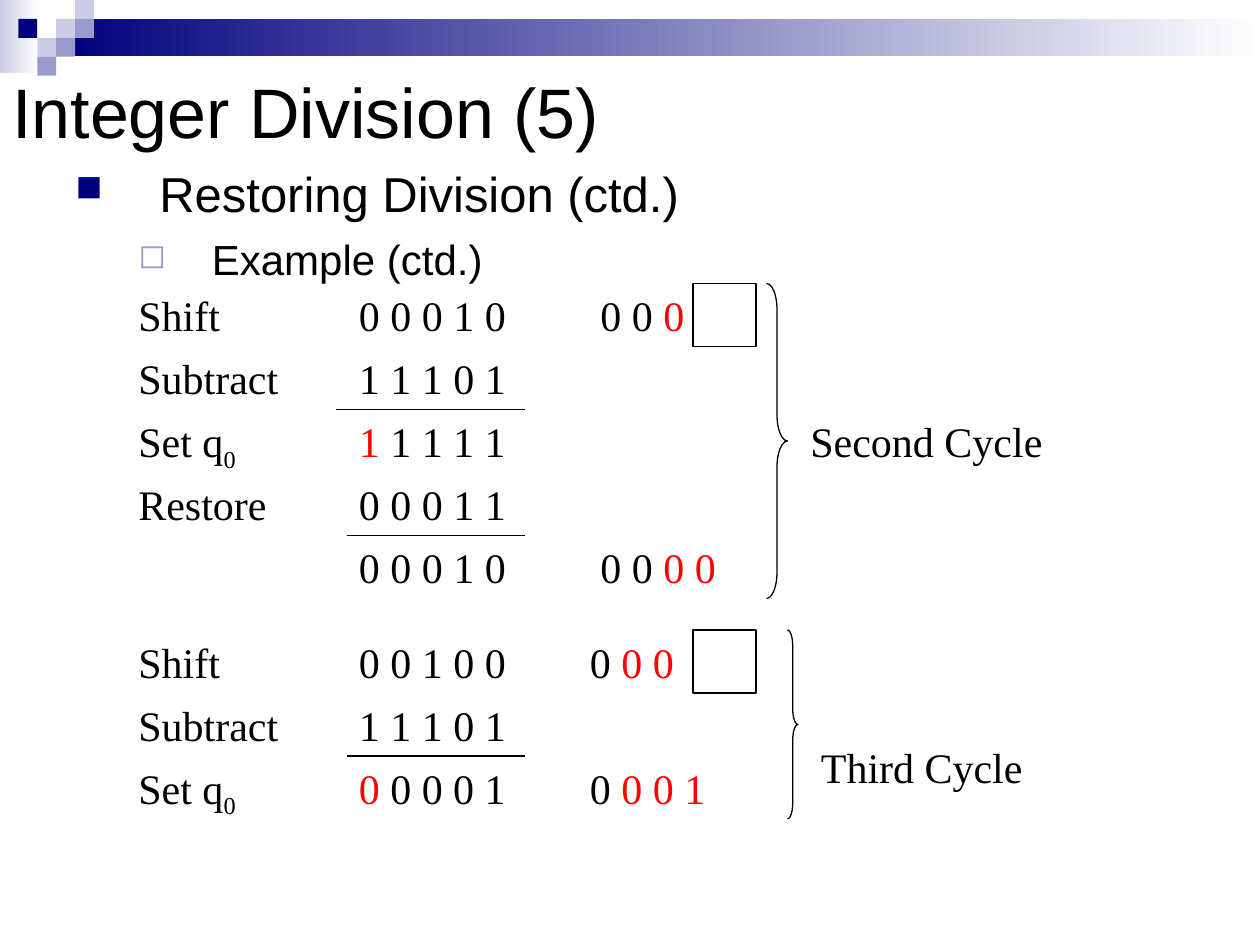
from lxml import etree
from pptx import Presentation
from pptx.dml.color import RGBColor
from pptx.enum import shapes, text
from pptx.oxml.ns import qn
from pptx.util import Pt

BLACK = RGBColor(0, 0, 0)
WHITE = RGBColor(255, 255, 255)
RED = RGBColor(255, 0, 0)
NAVY = RGBColor(0, 0, 0x7D)
LILAC = RGBColor(0x99, 0x99, 0xCC)
PALE = RGBColor(0xCC, 0xCC, 0xE6)

ROW = 36
SUBTRACTION_END = 228


def add_outline(slide, preset, left, top, width, height):
    shape = slide.shapes.add_shape(preset, Pt(left), Pt(top), Pt(width), Pt(height))
    shape.shadow.inherit = False
    shape.fill.background()
    shape.line.color.rgb = BLACK
    shape.line.width = Pt(0.75)
    return shape


def add_block(slide, left, top, width, height, *colours):
    """A borderless rectangle, solid or with a left-to-right gradient."""
    block = add_outline(slide, shapes.MSO_SHAPE.RECTANGLE, left, top, width, height)
    block.line.fill.background()
    if len(colours) == 1:
        block.fill.solid()
        block.fill.fore_color.rgb = colours[0]
    else:
        block.fill.gradient()
        block.fill.gradient_angle = 0
        for stop, colour in zip(block.fill.gradient_stops, colours):
            stop.color.rgb = colour


def add_frame(slide, left, top, width, height):
    frame = slide.shapes.add_textbox(Pt(left), Pt(top), Pt(width), Pt(height)).text_frame
    frame.word_wrap = True
    return frame


def format_font(font, name, size, colour=BLACK):
    font.name = name
    font.size = Pt(size)
    font.color.rgb = colour


def add_cell(slide, left, top, width, *runs):
    """One line of the working, made of (wording, colour) runs."""
    paragraph = add_frame(slide, left, top, width, ROW).paragraphs[0]
    for wording, colour in runs:
        run = paragraph.add_run()
        run.text = wording
        format_font(run.font, "Times New Roman", 24, colour)
    return paragraph


def add_rule(slide, left, right, y):
    rule = slide.shapes.add_connector(
        shapes.MSO_CONNECTOR.STRAIGHT, Pt(left), Pt(y), Pt(right), Pt(y))
    rule.line.color.rgb = BLACK
    rule.line.width = Pt(0.75)
    etree.SubElement(rule._element.spPr, qn("a:effectLst"))


def add_banner(slide, left, top, width):
    # Gradient strips
    add_block(slide, left, top, 22.5, 42, PALE, WHITE)
    add_block(slide, left + 32.5, top + 10.8, width - 32.5, 21.4, NAVY, WHITE)
    # Mosaic squares on a grid of column and row
    step = 10.8
    mosaic = [(2, 1, PALE), (3, 0, PALE), (3, 1, LILAC), (1, 2, PALE),
              (0, 1, NAVY), (2, 2, LILAC), (1, 3, LILAC)]
    for column, row, colour in mosaic:
        add_block(slide, left + 10.5 + column * step, top + row * step, step, step, colour)


def add_title(slide, left, top, width, height):
    frame = add_frame(slide, left, top, width, height)
    frame.vertical_anchor = text.MSO_ANCHOR.MIDDLE
    frame.text = "Integer Division (5)"
    format_font(frame.paragraphs[0].runs[0].font, "Arial", 40)


def add_bullets(slide, left, top, width, height):
    frame = add_frame(slide, left, top, width, height)
    frame.text = "Restoring Division (ctd.)\nExample (ctd.)"
    styles = [(0, 48, -48, "■", NAVY, 75, 28), (1, 78, -42, "◻", LILAC, 80, 24)]
    for paragraph, style in zip(frame.paragraphs, styles):
        level, margin, indent, mark, colour, percent, size = style
        paragraph.level = level
        properties = paragraph._p.get_or_add_pPr()
        properties.set("marL", str(Pt(margin)))
        properties.set("indent", str(Pt(indent)))
        bullet_colour = etree.SubElement(properties, qn("a:buClr"))
        etree.SubElement(bullet_colour, qn("a:srgbClr")).set("val", str(colour))
        etree.SubElement(properties, qn("a:buSzPct")).set("val", str(percent * 1000))
        etree.SubElement(properties, qn("a:buChar")).set("char", mark)
        format_font(paragraph.runs[0].font, "Arial", size)
    frame.paragraphs[1].space_before = Pt(6)


def add_cycle(slide, left, top, steps, quotient_left, rules, brace, caption):
    """The rows of one cycle, its rules, the empty quotient box and the brace."""
    for index, (label, remainder, quotient) in enumerate(steps):
        y = top + index * ROW
        if label:
            paragraph = add_cell(slide, left, y, 102, (label, BLACK))
            if label == "Set q":
                subscript = paragraph.add_run()
                subscript.text = "0"
                format_font(subscript.font, "Times New Roman", 24)
                subscript._r.get_or_add_rPr().set("baseline", "-25000")
        add_cell(slide, left + 126, y, 102, *remainder)
        if quotient:
            add_cell(slide, left + quotient_left, y, 96, *quotient)

    # Rules below the subtracted and restored rows
    for row, start in rules:
        add_rule(slide, left + start, left + SUBTRACTION_END, top + row * ROW)

    # Box for the quotient bit still to be set
    add_outline(slide, shapes.MSO_SHAPE.RECTANGLE, left + 324, top, ROW, ROW)

    # Brace with its caption
    brace_left, brace_width, brace_height = brace
    shape = add_outline(slide, shapes.MSO_SHAPE.RIGHT_BRACE,
                        left + brace_left, top, brace_width, brace_height)
    shape.adjustments[0] = brace_height / 12 / brace_width
    caption_top, wording = caption
    add_cell(slide, left + brace_left + brace_width + 6, top + caption_top, 156,
             (wording, BLACK))


def main():
    presentation = Presentation()
    presentation.slide_width, presentation.slide_height = Pt(720), Pt(540)
    slide = presentation.slides.add_slide(presentation.slide_layouts[6])

    add_banner(slide, 0, 0, 720)
    add_title(slide, 0, 24, 720, 78)
    add_bullets(slide, 36, 90, 636, 432)

    second_cycle = [
        ("Shift", [("0 0 0 1 0", BLACK)], [("0 0 ", BLACK), ("0", RED)]),
        ("Subtract", [("1 1 1 0 1", BLACK)], None),
        ("Set q", [("1", RED), (" 1 1 1 1", BLACK)], None),
        ("Restore", [("0 0 0 1 1", BLACK)], None),
        (None, [("0 0 0 1 0", BLACK)], [("0 0 ", BLACK), ("0 0", RED)]),
    ]
    add_cycle(slide, 72, 162, second_cycle, 264, [(2, 120), (4, 126)],
              (366, 12, 180), (72, "Second Cycle"))

    third_cycle = [
        ("Shift", [("0 0 1 0 0", BLACK)], [("0 ", BLACK), ("0 0", RED)]),
        ("Subtract", [("1 1 1 0 1", BLACK)], None),
        ("Set q", [("0", RED), (" 0 0 0 1", BLACK)], [("0 ", BLACK), ("0 0 1", RED)]),
    ]
    add_cycle(slide, 72, 360, third_cycle, 258, [(2, 126)],
              (378, 6, 108), (60, "Third Cycle"))

    presentation.save("out.pptx")


if __name__ == "__main__":
    main()
